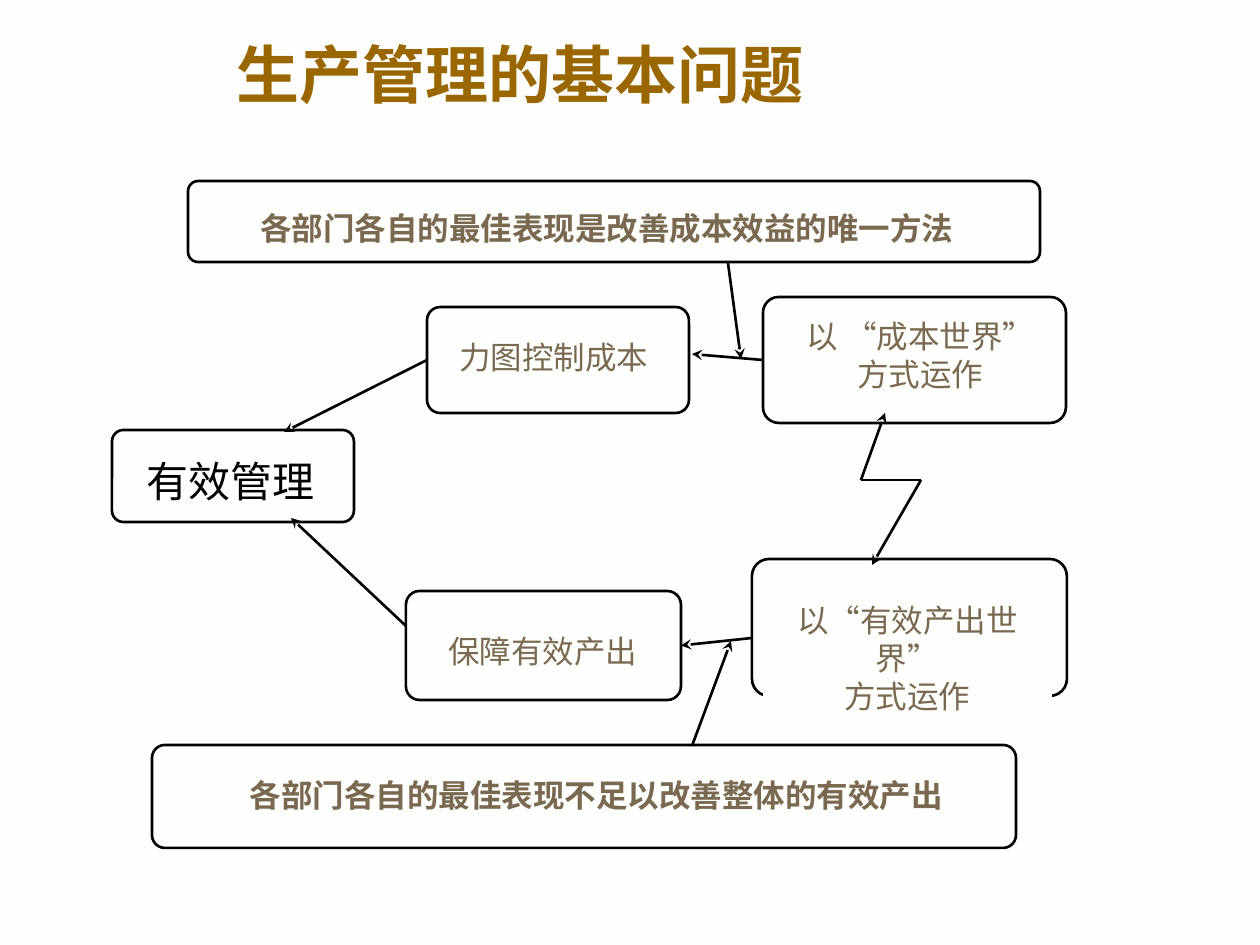
from lxml import etree
from pptx import Presentation
from pptx.dml.color import RGBColor
from pptx.enum.shapes import MSO_CONNECTOR, MSO_SHAPE
from pptx.enum.text import MSO_ANCHOR, MSO_AUTO_SIZE, PP_ALIGN
from pptx.oxml.ns import qn
from pptx.util import Pt

PX = 914400 / 126
ROUNDED = MSO_SHAPE.ROUNDED_RECTANGLE
RECTANGLE = MSO_SHAPE.RECTANGLE
STRAIGHT = MSO_CONNECTOR.STRAIGHT
LEFT = PP_ALIGN.LEFT
CENTER = PP_ALIGN.CENTER
TOP = MSO_ANCHOR.TOP
MIDDLE = MSO_ANCHOR.MIDDLE
NO_AUTOFIT = MSO_AUTO_SIZE.NONE

PAPER = RGBColor(0xFE, 0xFE, 0xFC)
BLACK = RGBColor(0, 0, 0)
GOLD = RGBColor(0x99, 0x66, 0x00)
BROWN = RGBColor(0x78, 0x69, 0x50)
CJK_FONT = "Noto Sans CJK SC"
TITLE_FONT = "Times New Roman"
LINE_WIDTH = Pt(1.5)
LEFT_SIDE, RIGHT_SIDE = 1, 3

BOXES = {
    "cost world": (763, 297, 303, 126),
    "cost control": (427, 307, 262, 106),
    "output guarantee": (406, 591, 275, 109),
    "management": (112, 430, 242, 92),
    "output world": (752, 559, 315, 137),
    "output belief": (152, 745, 864, 103),
    "cost belief": (188, 181, 852, 81),
}

LABELS = [
    ((446, 328, 233, 50), ["力图控制成本"], LEFT, 18, BROWN, False),
    ((417, 622, 252, 50), ["保障有效产出"], CENTER, 18, BROWN, False),
    ((764, 591, 287, 126), ["以“有效产出世界”", "方式运作"], CENTER, 18, BROWN, False),
    ((784, 307, 273, 88), ["以 “成本世界”", "方式运作"], CENTER, 18, BROWN, False),
    ((209, 766, 774, 50), ["各部门各自的最佳表现不足以改善整体的有效产出"], CENTER, 18, BROWN, True),
    ((199, 199, 815, 50), ["各部门各自的最佳表现是改善成本效益的唯一方法"], CENTER, 18, BROWN, True),
    ((134, 445, 199, 63), ["有效管理"], LEFT, 24, BLACK, False),
]


def px(*lengths):
    return [round(length * PX) for length in lengths]


def add_span(para, text, size, color, bold, latin=CJK_FONT):
    span = para.add_run()
    span.text = text
    font = span.font
    font.size, font.bold, font.name = Pt(size), bold, latin
    font.color.rgb = color
    east_asian = etree.SubElement(span._r.get_or_add_rPr(), qn("a:ea"))
    east_asian.set("typeface", CJK_FONT)


def add_title(slide, text):
    title = slide.shapes.title
    title.left, title.top, title.width, title.height = px(0, 31, 1040, 84)
    frame = title.text_frame
    frame.auto_size = NO_AUTOFIT
    frame.vertical_anchor = MIDDLE
    para = frame.paragraphs[0]
    para.alignment = CENTER
    add_span(para, text, 36, GOLD, True, TITLE_FONT)


def add_box(slide, kind, bounds, line_color):
    box = slide.shapes.add_shape(kind, *px(*bounds))
    box.shadow.inherit = False
    box.fill.solid()
    box.fill.fore_color.rgb = PAPER
    box.line.color.rgb = line_color
    box.line.width = LINE_WIDTH
    return box


def add_rounded_box(slide, bounds):
    box = add_box(slide, ROUNDED, bounds, BLACK)
    box.adjustments[0] = 0.125
    return box


def add_label(slide, bounds, lines, alignment, size, color, bold):
    label = add_box(slide, RECTANGLE, bounds, PAPER)
    frame = label.text_frame
    frame.word_wrap = True
    frame.vertical_anchor = TOP
    frame.margin_left, frame.margin_top, frame.margin_right, frame.margin_bottom = px(13, 10, 13, 2)
    for index, text in enumerate(lines):
        para = frame.add_paragraph() if index else frame.paragraphs[0]
        para.alignment = alignment
        para.line_spacing = Pt(size * 1.2)
        add_span(para, text, size, color, bold)


def add_line(slide, start, end, arrow="tailEnd"):
    line = slide.shapes.add_connector(STRAIGHT, *px(*start, *end))
    line.line.color.rgb = BLACK
    line.line.width = LINE_WIDTH
    if arrow:
        tip = etree.SubElement(line.line._get_or_add_ln(), qn(f"a:{arrow}"))
        tip.set("type", "stealth")
    etree.SubElement(line._element.spPr, qn("a:effectLst"))
    return line


def add_reasoning_arrows(slide, boxes):
    output_arrow = add_line(slide, (752, 638), (681, 644))
    output_arrow.end_connect(boxes["output guarantee"], RIGHT_SIDE)
    cost_arrow = add_line(slide, (763, 360), (692, 354))
    cost_arrow.begin_connect(boxes["cost world"], LEFT_SIDE)
    control_arrow = add_line(slide, (427, 360), (284, 432))
    control_arrow.begin_connect(boxes["cost control"], LEFT_SIDE)
    add_line(slide, (406, 626), (291, 518))
    add_line(slide, (728, 263), (741, 359))
    add_line(slide, (692, 746), (731, 641))


def add_conflict_zigzag(slide):
    add_line(slide, (885, 413), (861, 480), "headEnd")
    add_line(slide, (861, 480), (921, 480), None)
    add_line(slide, (921, 480), (872, 565))


def main():
    deck = Presentation()
    deck.slide_width, deck.slide_height = px(1260, 945)
    slide = deck.slides.add_slide(deck.slide_layouts[5])
    slide.background.fill.solid()
    slide.background.fill.fore_color.rgb = PAPER
    add_title(slide, "生产管理的基本问题")
    boxes = {name: add_rounded_box(slide, bounds) for name, bounds in BOXES.items()}
    for label in LABELS:
        add_label(slide, *label)
    add_reasoning_arrows(slide, boxes)
    add_conflict_zigzag(slide)
    deck.save("out.pptx")


if __name__ == "__main__":
    main()
